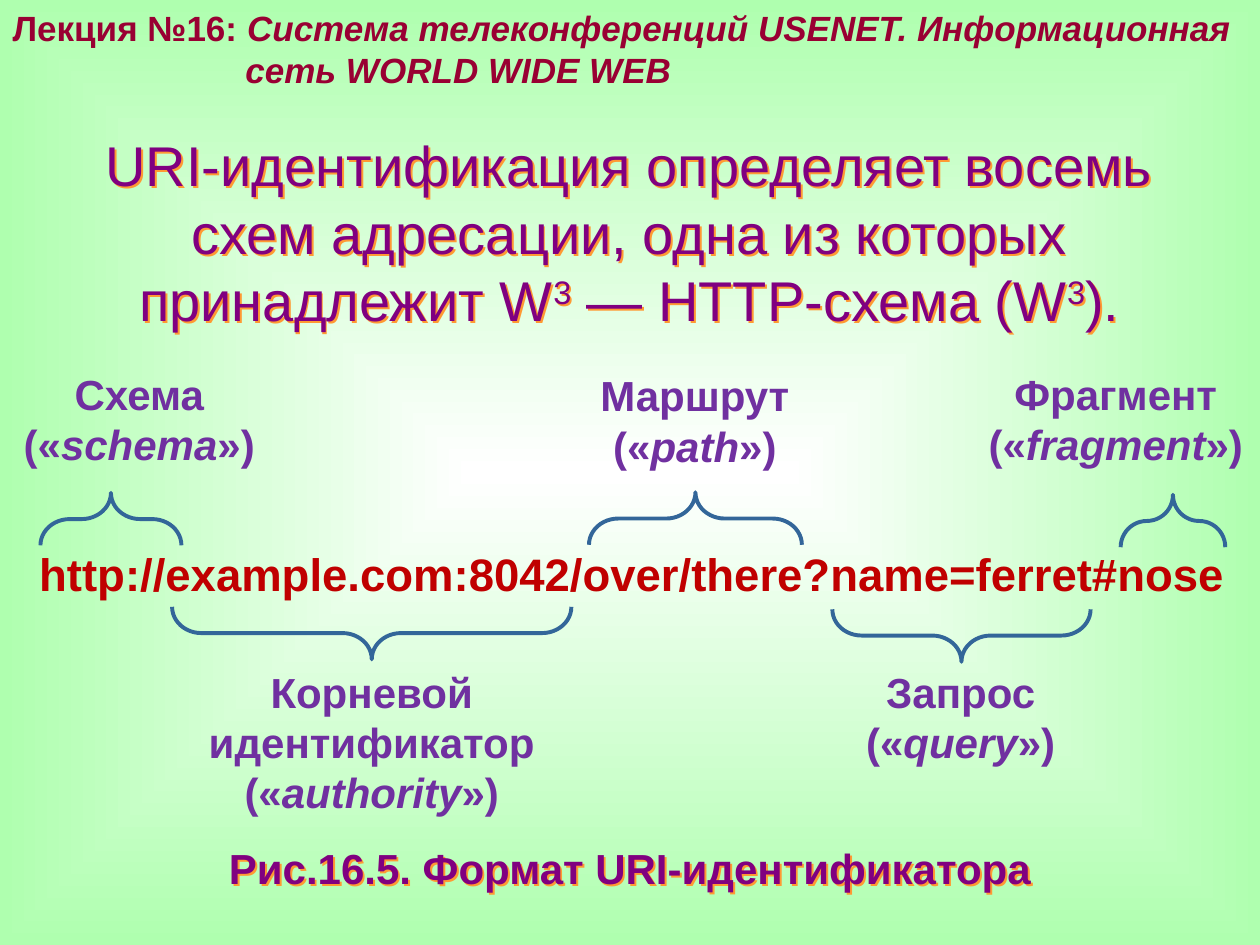
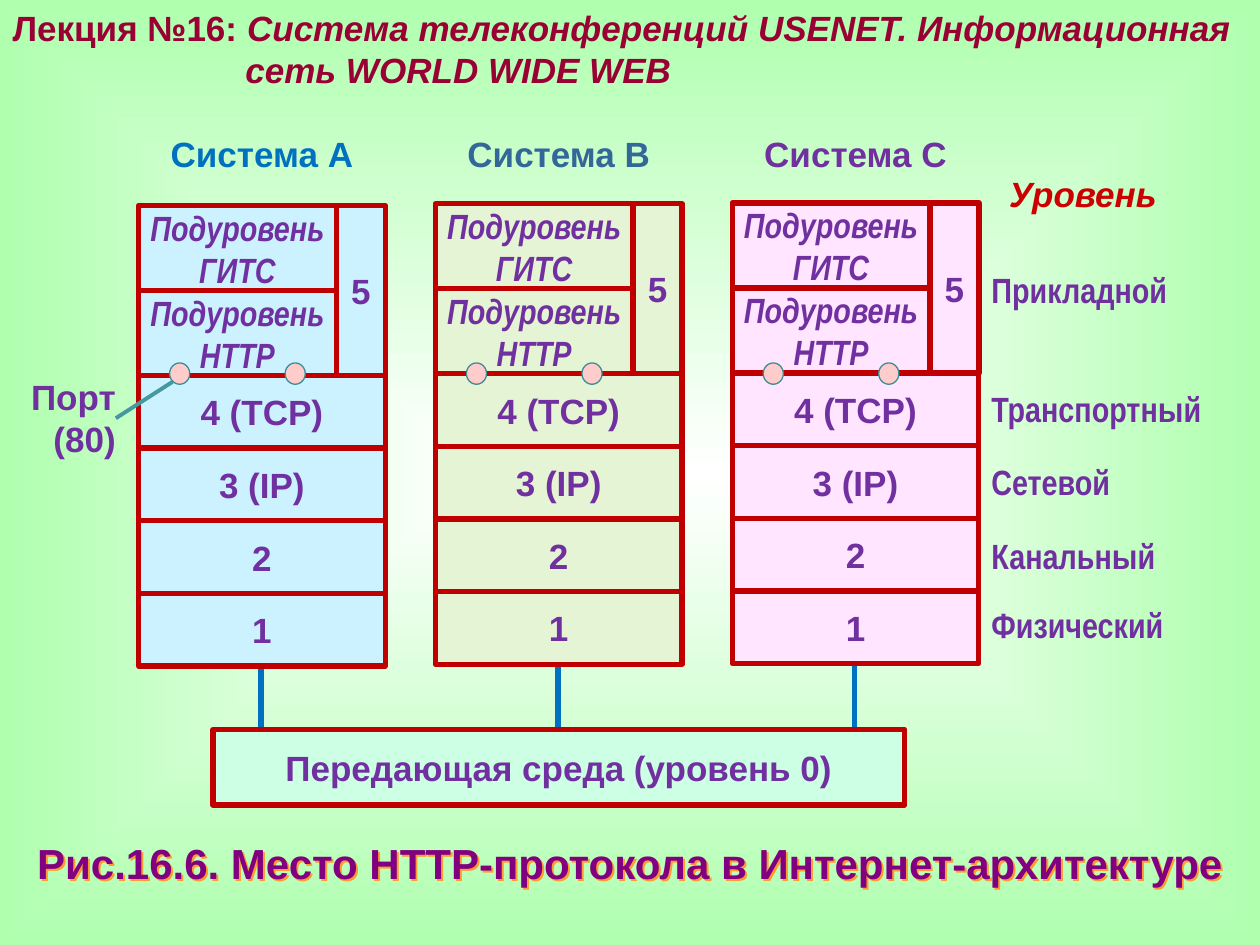
from lxml.etree import SubElement
from pptx import Presentation
from pptx.dml.color import RGBColor
from pptx.enum.shapes import MSO_CONNECTOR, MSO_SHAPE
from pptx.enum.text import MSO_ANCHOR, MSO_AUTO_SIZE, PP_ALIGN
from pptx.oxml.ns import qn
from pptx.util import Pt

LEFT, CENTER, RIGHT = PP_ALIGN.LEFT, PP_ALIGN.CENTER, PP_ALIGN.RIGHT
TOP, MIDDLE = MSO_ANCHOR.TOP, MSO_ANCHOR.MIDDLE
NO_FIT = MSO_AUTO_SIZE.NONE
RECT, OVAL, BRACE = MSO_SHAPE.RECTANGLE, MSO_SHAPE.OVAL, MSO_SHAPE.RIGHT_BRACE
STRAIGHT = MSO_CONNECTOR.STRAIGHT

FONT, NARROW = "Arial", "Arial Narrow"
COLORS = {
    "center": "FFFFFF", "edge": "AFFFAF", "header": "990033", "heading": "800080",
    "shadow": "FF9933", "text": "7030A0", "uri": "C00000", "brace": "336699",
    "blue": "0070C0", "steel": "336699", "level": "CC0000", "border": "C00000",
    "medium": "CDFFE4", "system_a": "CDF2FF", "system_b": "E5F4D4", "system_c": "FFE5FF",
    "port": "FFCCCC", "port_line": "3C8C93", "pointer": "4597A0",
}
HEADER = ("Лекция №16: *Система телеконференций USENET. Информационная*\n"
          "*сеть WORLD WIDE WEB*")


def rgb(name):
    return RGBColor.from_string(COLORS[name])


def write(tf, text, size=20, color="text", font=FONT, bold=True, italic=False,
          align=CENTER, anchor=MIDDLE, inset=(0, 0), spacing=None):
    """Asterisks switch italics, carets switch superscript."""
    tf.word_wrap = True
    tf.auto_size = NO_FIT
    tf.vertical_anchor = anchor
    tf.margin_left = tf.margin_right = Pt(inset[0])
    tf.margin_top = tf.margin_bottom = Pt(inset[1])
    for n, line in enumerate(text.split("\n")):
        p = tf.add_paragraph() if n else tf.paragraphs[0]
        p.alignment = align
        p.space_before = Pt(0)
        if spacing:
            p.line_spacing = spacing
        for i, part in enumerate(line.split("*")):
            for j, piece in enumerate(part.split("^")):
                if not piece:
                    continue
                r = p.add_run()
                r.text = piece
                r.font.name, r.font.size = font, Pt(size)
                r.font.bold, r.font.italic = bold, italic or i % 2 == 1
                r.font.color.rgb = rgb(color)
                if j % 2:
                    r.font._element.set("baseline", "30000")


class Deck:
    def __init__(self):
        self.prs = Presentation()
        self.prs.slide_width, self.prs.slide_height = Pt(720), Pt(540)
        self.s = None
        self.paint_background()

    def paint_background(self):
        master = self.prs.slide_master
        fill = master.background.fill
        fill.gradient()
        for stop, name in zip(fill.gradient_stops, ("center", "edge")):
            stop.color.rgb = rgb(name)
        grad = master.element.find(".//" + qn("a:gradFill"))
        grad.remove(grad.find(qn("a:lin")))
        route = SubElement(grad, qn("a:path"), {"path": "shape"})
        SubElement(route, qn("a:fillToRect"), dict.fromkeys("ltrb", "50000"))

    def slide(self):
        self.s = self.prs.slides.add_slide(self.prs.slide_layouts[5])
        title = self.s.shapes.title
        title.left, title.top, title.width, title.height = Pt(0), Pt(0), Pt(720), Pt(55.5)
        write(title.text_frame, HEADER, color="header", align=LEFT, anchor=TOP,
              inset=(7.2, 3.6))
        pPr = title.text_frame.paragraphs[1]._p.get_or_add_pPr()
        pPr.set("marL", str(Pt(133)))

    def text(self, x, y, w, h, text, shadow=False, **fmt):
        sp = self.s.shapes.add_textbox(Pt(x), Pt(y), Pt(w), Pt(h))
        write(sp.text_frame, text, **fmt)
        if shadow:
            effects = SubElement(sp._element.spPr, qn("a:effectLst"))
            outer = SubElement(effects, qn("a:outerShdw"), {
                "dist": str(Pt(1.6)), "dir": "2700000", "algn": "ctr", "rotWithShape": "0"})
            SubElement(outer, qn("a:srgbClr"), {"val": COLORS["shadow"]})

    def caption(self, y, text):
        self.text(0, y, 720, 52, text, shadow=True, size=24, color="heading", spacing=0.9)

    def shape(self, kind, x, y, w, h, fill, line, weight):
        sp = self.s.shapes.add_shape(kind, Pt(x), Pt(y), Pt(w), Pt(h))
        sp.shadow.inherit = False
        if fill:
            sp.fill.solid()
            sp.fill.fore_color.rgb = rgb(fill)
        else:
            sp.fill.background()
        sp.line.color.rgb = rgb(line)
        sp.line.width = Pt(weight)
        return sp

    def box(self, x, y, w, h, text, fill, **fmt):
        sp = self.shape(RECT, x, y, w, h, fill, "border", 3)
        write(sp.text_frame, text, **fmt)

    def brace(self, cx, cy, span, up):
        sp = self.shape(BRACE, cx - 15, cy - span / 2, 30, span, None, "brace", 2.25)
        sp.adjustments[0] = 0.558
        sp.rotation = 270 if up else 90

    def line(self, x1, y1, x2, y2, color, weight):
        c = self.s.shapes.add_connector(STRAIGHT, Pt(x1), Pt(y1), Pt(x2), Pt(y2))
        c.line.color.rgb = rgb(color)
        c.line.width = Pt(weight)
        SubElement(c._element.spPr, qn("a:effectLst"))

    def port(self, cx, cy):
        self.shape(OVAL, cx - 5.75, cy - 6.1, 11.5, 12.2, "port", "port_line", 0.75)


def uri_slide(deck):
    deck.slide()
    deck.text(19.4, 71.3, 680.4, 123.8,
              "URI-идентификация определяет восемь схем адресации, одна из которых "
              "принадлежит W^3^ — HTTP-схема (W^3^).",
              shadow=True, size=32, color="heading", bold=False, anchor=TOP,
              inset=(7.2, 3.6))
    deck.text(1.4, 311.8, 720, 31.7, "http://example.com:8042/over/there?name=ferret#nose",
              size=26, color="uri")
    parts = [
        ("Схема\n(«*schema*»)", 79.6, 210.2, 136, 58.3, 63.4, 296.6, 80.6, True),
        ("Корневой идентификатор\n(«*authority*»)", 212.4, 380.2, 282.2, 87.1,
         212.4, 361.8, 228.2, False),
        ("Маршрут\n(«*path*»)", 397.1, 211, 118.8, 58.3, 397.4, 296.3, 121.7, True),
        ("Запрос\n(«*query*»)", 549, 380.2, 116, 58.3, 549.4, 363.2, 147.6, False),
        ("Фрагмент\n(«*fragment*»)", 637.6, 210.2, 149, 58.3, 670.3, 297.7, 59.8, True),
    ]
    for label, cx, y, w, h, *brace in parts:
        deck.text(cx - w / 2, y, w, h, label, size=24)
        deck.brace(*brace)
    deck.caption(471.6, "Рис.16.5. Формат URI-идентификатора")


def system(deck, x, y, fill):
    layer_top, layer_h, sub_w, sub_h = 97.2, 41.5, 113, 48.6
    for i, layer in enumerate(("4 (ТСР)", "3 (IР)", "2", "1")):
        deck.box(x, y + layer_top + i * layer_h, 141, layer_h, layer, fill)
    deck.box(x + sub_w, y, 28, layer_top, "5", fill)
    for i, name in enumerate(("ГИТС", "HTTP")):
        deck.box(x, y + i * sub_h, sub_w, sub_h, "Подуровень " + name, fill,
                 font=NARROW, italic=True)


def architecture_slide(deck):
    deck.slide()
    deck.caption(468.7, "Рис.16.6. Место НТТР-протокола в Интернет-архитектуре")
    systems = [("Система А", "blue", "system_a", 117.4),
               ("Система В", "steel", "system_b", 116.4),
               ("Система С", "text", "system_c", 116)]
    lefts = [79.2 + 169.6 * i for i in range(len(systems))]
    for x, (name, color, fill, y) in zip(lefts, systems):
        deck.text(x, 75.6, 141, 24.5, name, color=color)
        deck.line(x + 70, 373.7, x + 70, 421.2, "blue", 3)
        system(deck, x, y, fill)
    deck.box(121.7, 416.9, 395.3, 43.2, "Передающая среда (уровень 0)", "medium")

    deck.text(560.9, 98.6, 116, 24.5, "Уровень", color="level", italic=True)
    levels = [("Прикладной", 153.4), ("Транспортный", 221), ("Сетевой", 262.8),
              ("Канальный", 305.3), ("Физический", 344.9)]
    for name, y in levels:
        deck.text(566.5, y, 146, 24.5, name, font=NARROW, align=LEFT)

    deck.text(8.6, 214.6, 57.6, 48.2, "Порт\n(80)", align=RIGHT)
    deck.line(66.2, 239, 98.6, 218.2, "pointer", 2.25)
    for x in lefts:
        for dx in (23.5, 89.5):
            deck.port(x + dx, 213.5)


def main():
    deck = Deck()
    uri_slide(deck)
    architecture_slide(deck)
    deck.prs.save("out.pptx")


if __name__ == "__main__":
    main()
